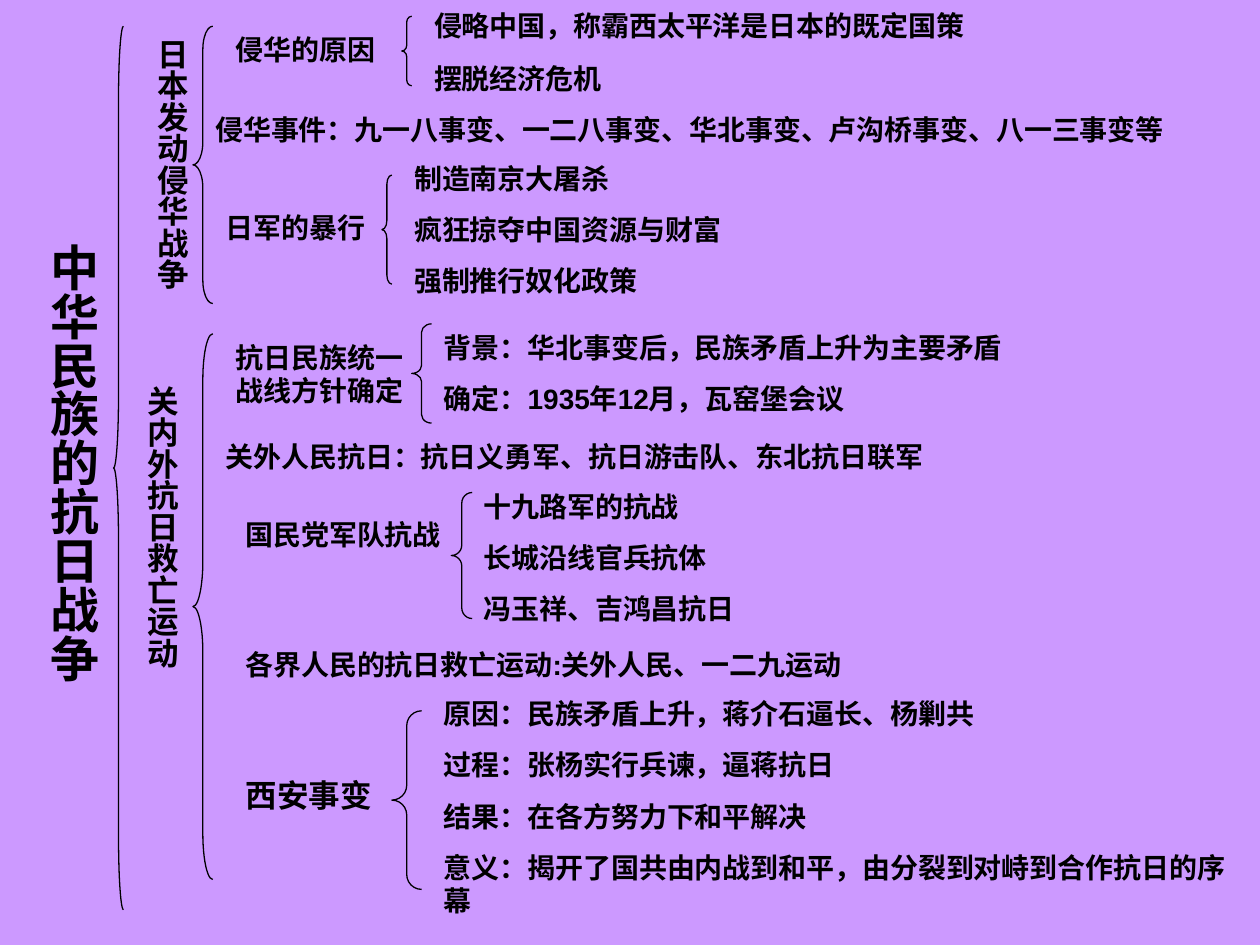
from pptx import Presentation
from pptx.dml.color import RGBColor
from pptx.enum.shapes import MSO_SHAPE
from pptx.enum.text import MSO_ANCHOR, PP_ALIGN
from pptx.util import Cm, Pt

LILAC = RGBColor(0xCC, 0x99, 0xFF)
BLACK = RGBColor(0x00, 0x00, 0x00)


class Outline:
    """Style and current slide of a brace outline; lengths are in cm."""

    font_name = "Arial"
    side_inset, edge_inset = Cm(0.25), Cm(0.13)

    def __init__(self, slide):
        self.slide = slide
        slide.background.fill.solid()
        slide.background.fill.fore_color.rgb = LILAC

    def set_lines(self, frame, lines, size, align):
        frame.word_wrap = True
        frame.vertical_anchor = MSO_ANCHOR.TOP
        for i, line in enumerate(lines):
            paragraph = frame.paragraphs[0] if i == 0 else frame.add_paragraph()
            paragraph.text = line
            paragraph.alignment = align
            paragraph.space_before = Pt(10 if i else 0)
            font = paragraph.font
            font.name, font.size, font.bold = self.font_name, Pt(size), True
            font.color.rgb = BLACK

    def points(self, left, top, width, height, *lines, size=16):
        box = self.slide.shapes.add_textbox(Cm(left), Cm(top), Cm(width), Cm(height))
        frame = box.text_frame
        frame.margin_left = frame.margin_right = self.side_inset
        frame.margin_top = frame.margin_bottom = self.edge_inset
        self.set_lines(frame, lines, size, PP_ALIGN.LEFT)

    def stand_upright(self, shape, wording, size):
        frame = shape.text_frame
        frame.margin_left = frame.margin_right = self.edge_inset
        frame.margin_top = frame.margin_bottom = self.side_inset
        self.set_lines(frame, [wording], size, PP_ALIGN.CENTER)
        frame._txBody.bodyPr.set("vert", "eaVert")

    def title(self, left, top, width, height, wording):
        heading = self.slide.shapes.title
        heading.left, heading.top = Cm(left), Cm(top)
        heading.width, heading.height = Cm(width), Cm(height)
        self.stand_upright(heading, wording, 28)

    def branch(self, left, top, width, height, wording):
        box = self.slide.shapes.add_textbox(Cm(left), Cm(top), Cm(width), Cm(height))
        self.stand_upright(box, wording, 18)

    def brace(self, left, top, width, height):
        brace = self.slide.shapes.add_shape(
            MSO_SHAPE.LEFT_BRACE, Cm(left), Cm(top), Cm(width), Cm(height))
        # Each curve takes a twelfth of the height
        brace.adjustments[0] = height / 12 / width
        brace.shadow.inherit = False
        brace.fill.background()
        brace.line.color.rgb = BLACK
        brace.line.width = Pt(0.75)


def main():
    deck = Presentation()
    deck.slide_width, deck.slide_height = Cm(25.4), Cm(19.05)
    outline = Outline(deck.slides.add_slide(deck.slide_layouts[5]))

    # Topic
    outline.title(0.51, 4.65, 1.68, 14.4, "中华民族的抗日战争")
    outline.brace(2.29, 0.53, 0.2, 17.81)

    # First branch: the invasion
    outline.branch(2.72, 0.53, 1.27, 6.4, "日本发动侵华战争")
    outline.brace(3.89, 0.53, 0.4, 5.59)

    outline.points(4.5, 0.53, 4.4, 0.94, "侵华的原因")
    outline.brace(8.1, 0.33, 0.2, 1.4)
    outline.points(8.5, 0.05, 12.8, 1.02, "侵略中国，称霸西太平洋是日本的既定国策")
    outline.points(8.5, 1.12, 12.8, 0.94, "摆脱经济危机")

    outline.points(4.09, 2.13, 20.8, 0.94,
                   "侵华事件：九一八事变、一二八事变、华北事变、卢沟桥事变、八一三事变等")

    outline.points(4.3, 4.12, 4.2, 0.94, "日军的暴行")
    outline.brace(7.7, 3.53, 0.2, 2.2)
    outline.points(8.1, 3.12, 15.6, 3,
                   "制造南京大屠杀", "疯狂掠夺中国资源与财富", "强制推行奴化政策")

    # Second branch: the resistance
    outline.branch(2.51, 7.52, 1.27, 10.01, "关内外抗日救亡运动")
    outline.brace(3.89, 6.73, 0.4, 11)

    outline.points(4.5, 6.73, 4.4, 1.63, "抗日民族统一战线方针确定")
    outline.brace(8.3, 6.53, 0.4, 2)
    outline.points(8.7, 6.53, 13.4, 1.96,
                   "背景：华北事变后，民族矛盾上升为主要矛盾",
                   "确定：1935年12月，瓦窑堡会议")

    outline.points(4.3, 8.74, 16.4, 1.96,
                   "关外人民抗日：抗日义勇军、抗日游击队、东北抗日联军")

    outline.points(4.7, 10.31, 7.4, 0.94, "国民党军队抗战")
    outline.brace(9.1, 9.93, 0.42, 2.54)
    outline.points(9.5, 9.73, 11.4, 3,
                   "十九路军的抗战", "长城沿线官兵抗体", "冯玉祥、吉鸿昌抗日")

    outline.points(4.7, 12.93, 18, 0.94,
                   "各界人民的抗日救亡运动:关外人民、一二九运动")

    outline.points(4.7, 15.52, 4, 1.02, "西安事变", size=18)
    outline.brace(7.9, 14.33, 0.6, 3.6)
    outline.points(8.7, 13.92, 16.7, 4.7,
                   "原因：民族矛盾上升，蒋介石逼长、杨剿共",
                   "过程：张杨实行兵谏，逼蒋抗日",
                   "结果：在各方努力下和平解决",
                   "意义：揭开了国共由内战到和平，由分裂到对峙到合作抗日的序幕")

    deck.save("out.pptx")


if __name__ == "__main__":
    main()
